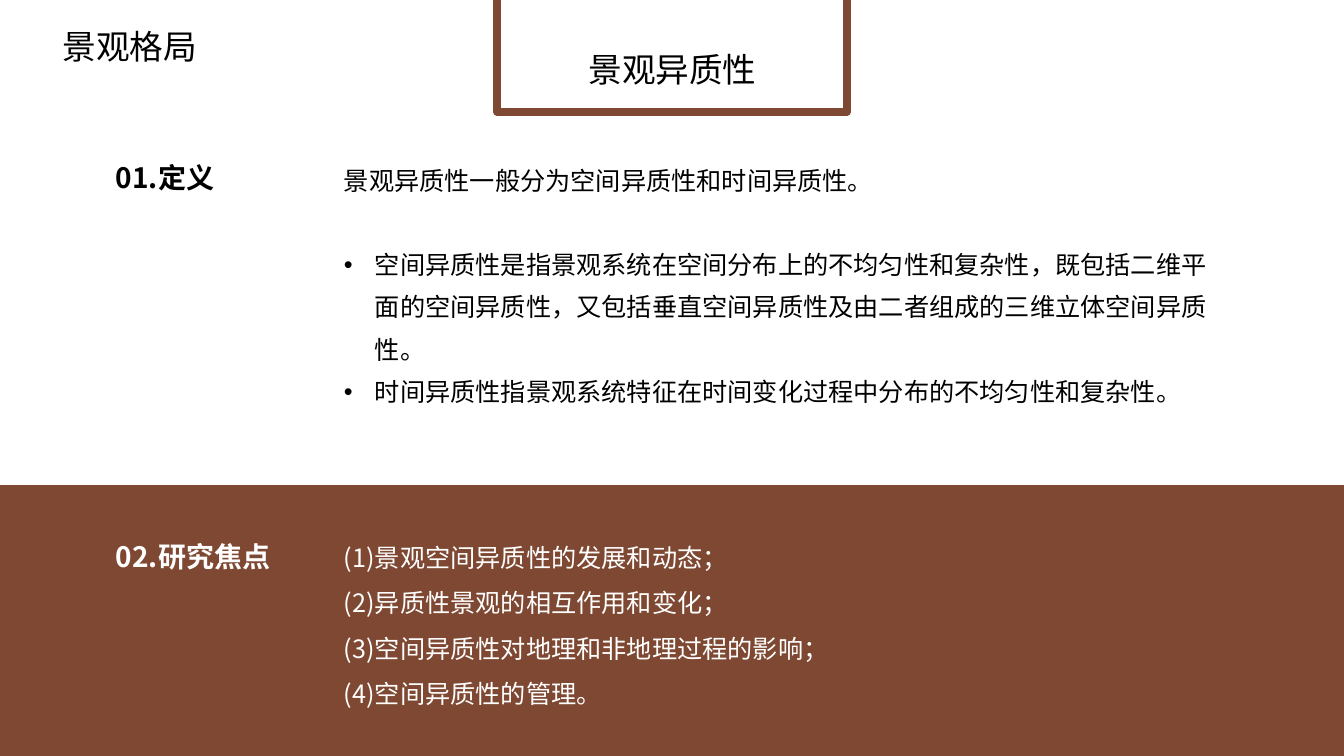
import pptx
import pptx.util
import pptx.dml.color
import pptx.enum.shapes
import pptx.enum.text
import pptx.oxml.ns
import lxml.etree

ALIGN = pptx.enum.text.PP_ALIGN
ANCHOR = pptx.enum.text.MSO_ANCHOR

# Content
TOPIC = "景观格局"
TITLE = "景观异质性"
HEADS = ["01.定义", "02.研究焦点"]
INTRO = "景观异质性一般分为空间异质性和时间异质性。"
KINDS = [
    "空间异质性是指景观系统在空间分布上的不均匀性和复杂性，既包括二维平面的空间异质性，"
    "又包括垂直空间异质性及由二者组成的三维立体空间异质性。",
    "时间异质性指景观系统特征在时间变化过程中分布的不均匀性和复杂性。",
]
FOCUS = [
    "(1)景观空间异质性的发展和动态；",
    "(2)异质性景观的相互作用和变化；",
    "(3)空间异质性对地理和非地理过程的影响；",
    "(4)空间异质性的管理。",
]

THEME = {
    "font": "Noto Sans CJK SC",
    "brown": "7E4832", "white": "FFFFFF", "black": "000000",
    "title": 24, "head": 20, "body": 18,
}

# Layout in px
WIDE, HIGH = 1344, 756
SCALE = 914400 / 100.8
HEAD_X, BODY_X = 106, 334
HEAD_W, HEAD_H = 332, 48
FOCUS_Y = 532
INDENT = 31


def px(num):
    return pptx.util.Emu(round(num * SCALE))


def color(name):
    return pptx.dml.color.RGBColor.from_string(THEME[name])


def add_rect(box, fill, width):
    kind = pptx.enum.shapes.MSO_SHAPE.RECTANGLE
    rect = slide.shapes.add_shape(kind, *map(px, box))
    rect.shadow.inherit = False
    rect.fill.solid()
    rect.fill.fore_color.rgb = color(fill)
    rect.line.color.rgb = color("brown")
    rect.line.width = pptx.util.Pt(width)


def add_text(box, lines, size, ink="black", bold=False, space=1.0,
             anchor=ANCHOR.MIDDLE, align=ALIGN.LEFT):
    frame = slide.shapes.add_textbox(*map(px, box)).text_frame
    frame.word_wrap = True
    frame.vertical_anchor = anchor
    for num, line in enumerate(lines):
        para = frame.add_paragraph() if num else frame.paragraphs[0]
        para.alignment = align
        para.line_spacing = space
        run = para.add_run()
        run.text = line
        font = run.font
        font.name = THEME["font"]
        font.size = pptx.util.Pt(THEME[size])
        font.bold = bold
        font.color.rgb = color(ink)
        east = lxml.etree.SubElement(font._element, pptx.oxml.ns.qn("a:ea"))
        east.set("typeface", THEME["font"])
    return frame.paragraphs


def add_bullet(para):
    props = para._p.get_or_add_pPr()
    props.set("marL", str(px(INDENT)))
    props.set("indent", str(-px(INDENT)))
    face = lxml.etree.SubElement(props, pptx.oxml.ns.qn("a:buFont"))
    face.set("typeface", "Arial")
    mark = lxml.etree.SubElement(props, pptx.oxml.ns.qn("a:buChar"))
    mark.set("char", "•")


deck = pptx.Presentation()
deck.slide_width, deck.slide_height = px(WIDE), px(HIGH)
slide = deck.slides.add_slide(deck.slide_layouts[6])

# Brown band with the research focus
add_rect((-40, 486, 1424, 352), "brown", 1)
add_text((BODY_X, FOCUS_Y, 553, 172), FOCUS, "body", "white", space=1.5)

# Framed title and topic
add_rect((497, -60, 350, 172), "white", 5.5)
for box, name in [((510, 25, 325, 70), TITLE), ((2, 2, 256, 70), TOPIC)]:
    add_text(box, [name], "title", space=0.9,
             anchor=ANCHOR.BOTTOM, align=ALIGN.CENTER)

# Section heads
for top, head, ink in zip((153, FOCUS_Y), HEADS, ("black", "white")):
    add_text((HEAD_X, top, HEAD_W, HEAD_H), [head], "head", ink, bold=True)

# Definition with its two kinds
paras = add_text((BODY_X, 148, 899, 230), [INTRO, *KINDS], "body",
                 space=1.4, anchor=ANCHOR.TOP)
paras[1].space_before = pptx.util.Pt(30)
for para in paras[1:]:
    add_bullet(para)

deck.save("out.pptx")
